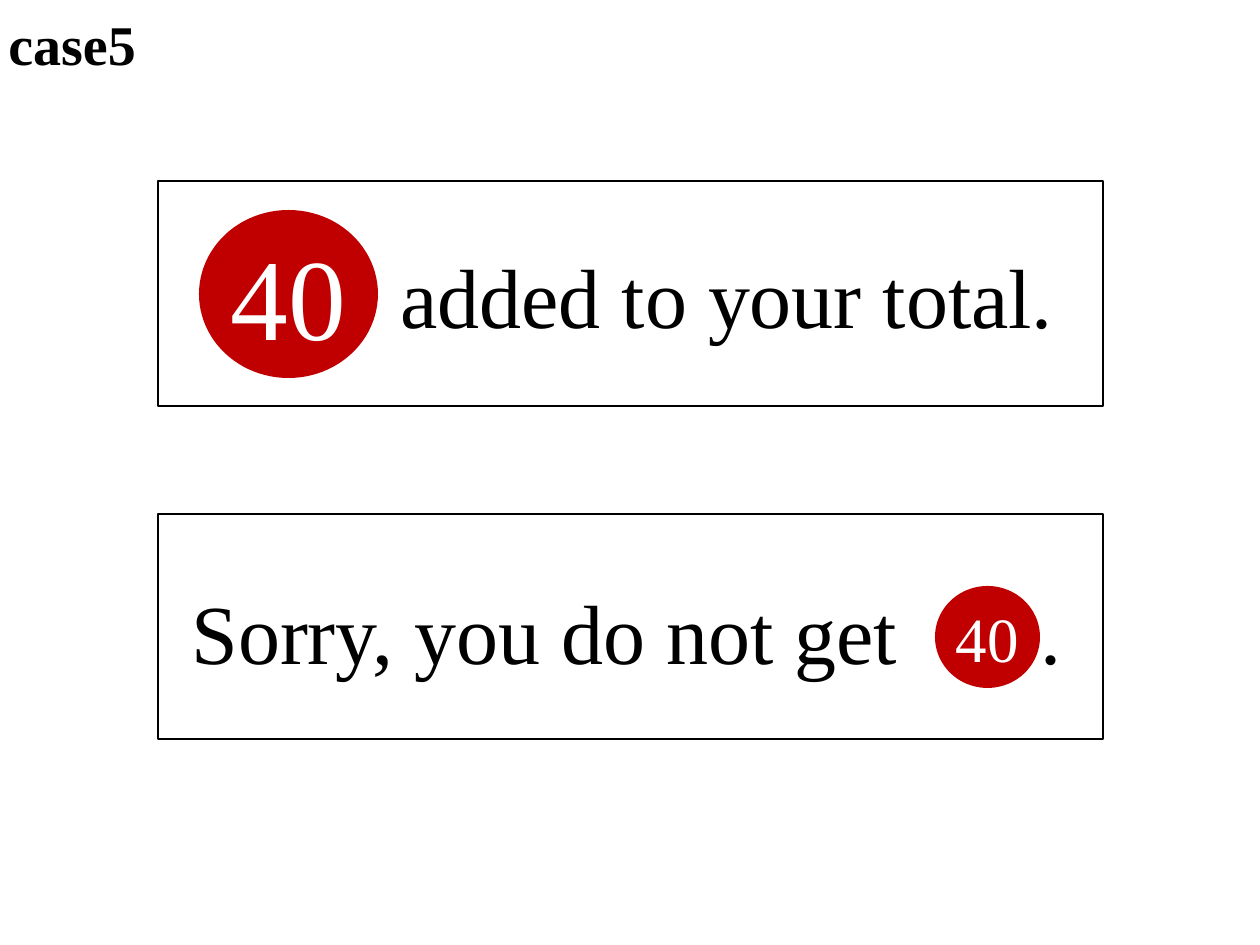
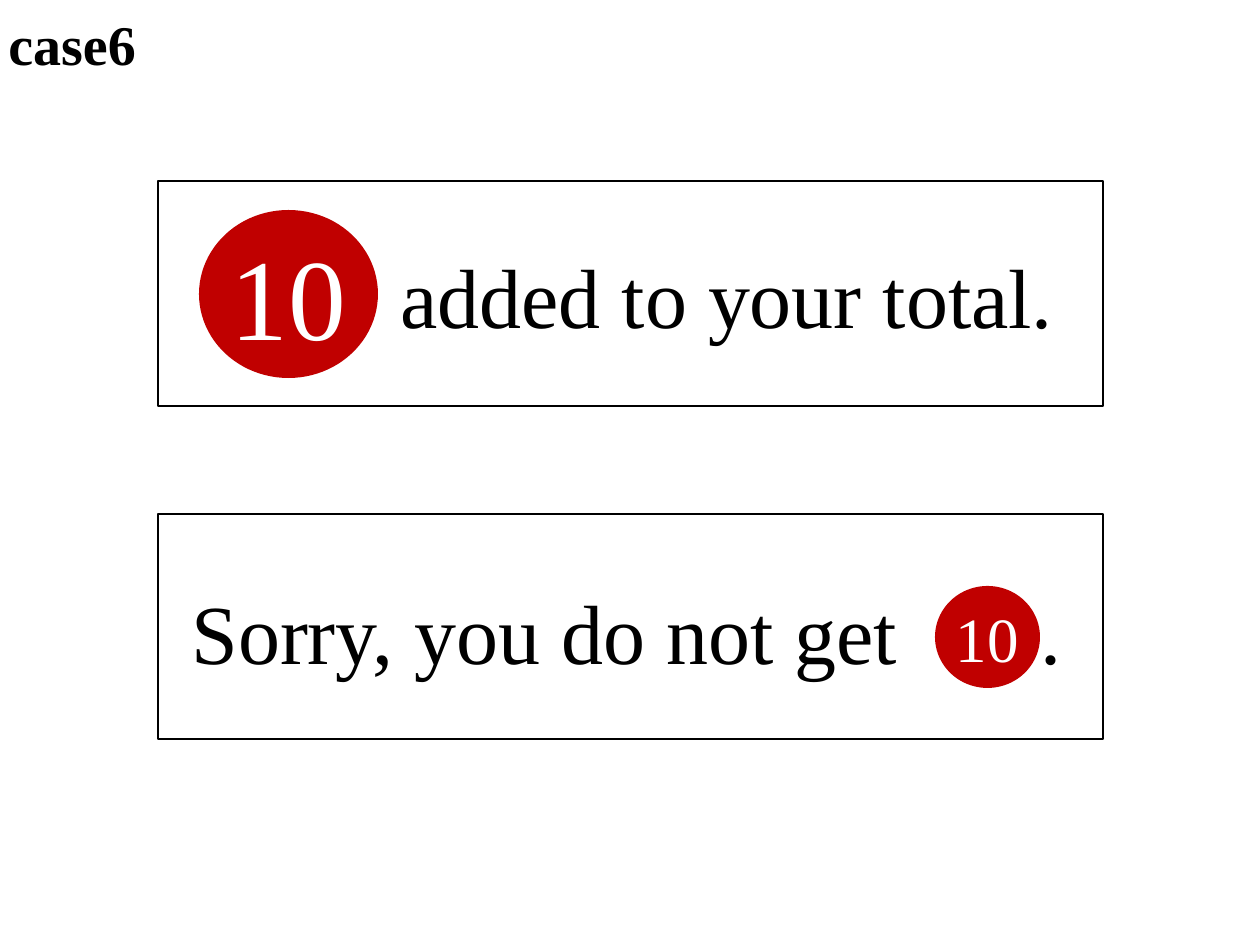
"""Build two feedback slides, each with a framed win message and a framed no-win message."""
from lxml.etree import SubElement
from pptx import Presentation
from pptx.dml.color import RGBColor
from pptx.enum.shapes import MSO_SHAPE
from pptx.enum.text import MSO_ANCHOR, PP_ALIGN
from pptx.oxml.ns import qn
from pptx.util import Emu, Pt

PIXEL = 914400 / 126
FONT = "Times New Roman"
COLORS = {"text": "000000", "frame": "000000", "badge": "C00000", "badge_text": "FFFFFF"}
CASES = [("case5", "40"), ("case6", "10")]
FRAME_LEFT, FRAME_WIDTH, FRAME_HEIGHT = 158, 945, 225
PERIOD_TAB = 849
MESSAGES = [
    {"text": "added to your total.", "text_box": (388, 189, 756, 224), "frame_top": 181,
     "badge": (199, 210, 179, 168), "badge_size": 66},
    {"text": "Sorry, you do not get\t.", "text_box": (179, 525, 945, 224), "frame_top": 514,
     "badge": (935, 586, 105, 102), "badge_size": 36},
]


def scale(*pixels):
    return [Emu(round(value * PIXEL)) for value in pixels]


def write(shape, text, size, color, bold=False):
    frame = shape.text_frame
    frame.vertical_anchor = MSO_ANCHOR.MIDDLE
    paragraph = frame.paragraphs[0]
    run = paragraph.add_run()
    run.text = text
    run.font.name = FONT
    run.font.size = Pt(size)
    run.font.bold = bold
    run.font.color.rgb = RGBColor.from_string(COLORS[color])
    return paragraph


presentation = Presentation()
presentation.slide_width, presentation.slide_height = scale(1260, 945)

for case_name, points in CASES:
    slide = presentation.slides.add_slide(presentation.slide_layouts[6])

    for message in MESSAGES:
        group = slide.shapes.add_group_shape()

        text_box = group.shapes.add_textbox(*scale(*message["text_box"]))
        text_box.text_frame.word_wrap = True
        paragraph = write(text_box, message["text"], 48, "text")
        paragraph.line_spacing = 0.9
        if "\t" in message["text"]:
            properties = paragraph.runs[0].font._element.getparent().getparent().get_or_add_pPr()
            tab_list = SubElement(properties, qn("a:tabLst"))
            SubElement(tab_list, qn("a:tab"), pos=str(scale(PERIOD_TAB)[0]), algn="l")

        border = group.shapes.add_shape(
            MSO_SHAPE.RECTANGLE,
            *scale(FRAME_LEFT, message["frame_top"], FRAME_WIDTH, FRAME_HEIGHT))
        border.shadow.inherit = False
        border.fill.background()
        border.line.color.rgb = RGBColor.from_string(COLORS["frame"])
        border.line.width = Pt(0.75)

        badge = group.shapes.add_shape(MSO_SHAPE.OVAL, *scale(*message["badge"]))
        badge.shadow.inherit = False
        badge.fill.solid()
        badge.fill.fore_color.rgb = RGBColor.from_string(COLORS["badge"])
        badge.line.fill.background()
        badge_frame = badge.text_frame
        badge_frame.word_wrap = False
        badge_frame.margin_left = badge_frame.margin_right = scale(5)[0]
        badge_frame.margin_top = badge_frame.margin_bottom = scale(5)[0]
        paragraph = write(badge, points, message["badge_size"], "badge_text")
        paragraph.alignment = PP_ALIGN.CENTER

    title = slide.shapes.add_textbox(*scale(-4, 0, 242, 94))
    title.text_frame.word_wrap = True
    write(title, case_name, 32, "text", bold=True).line_spacing = 0.9

presentation.save("out.pptx")
